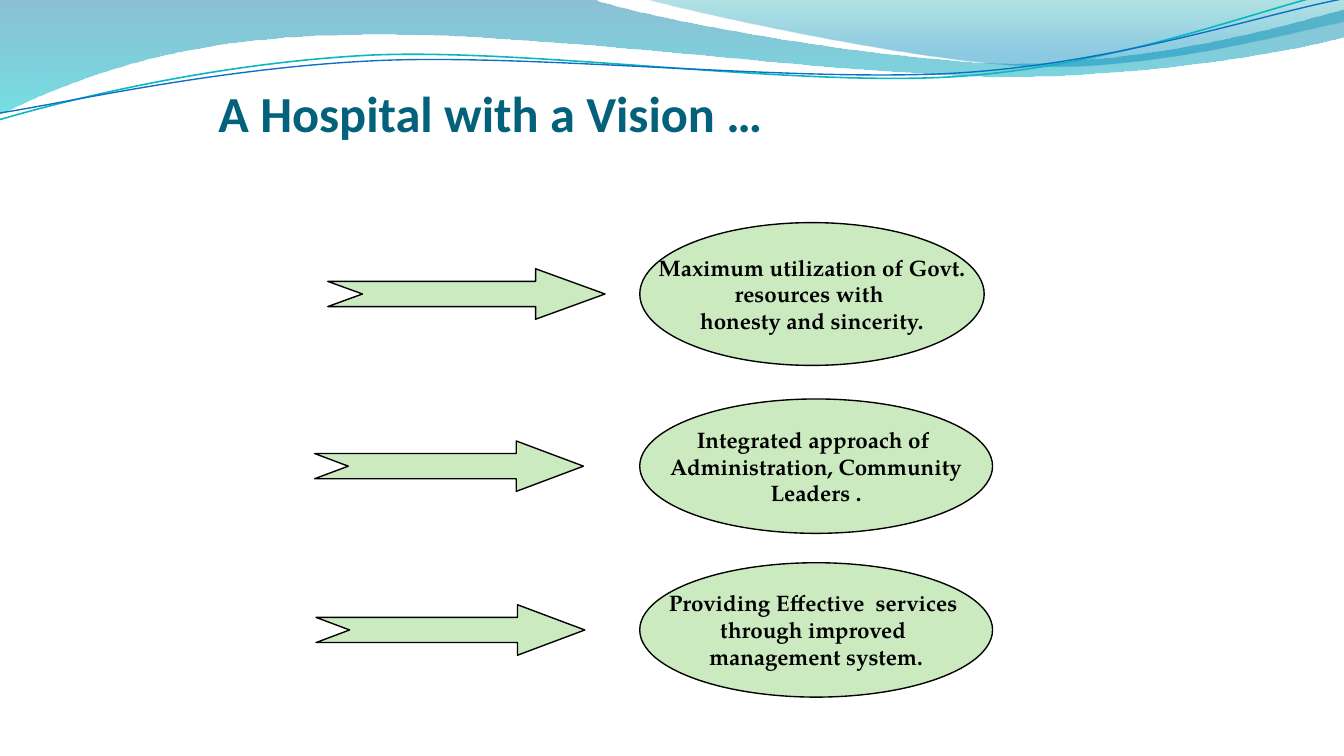
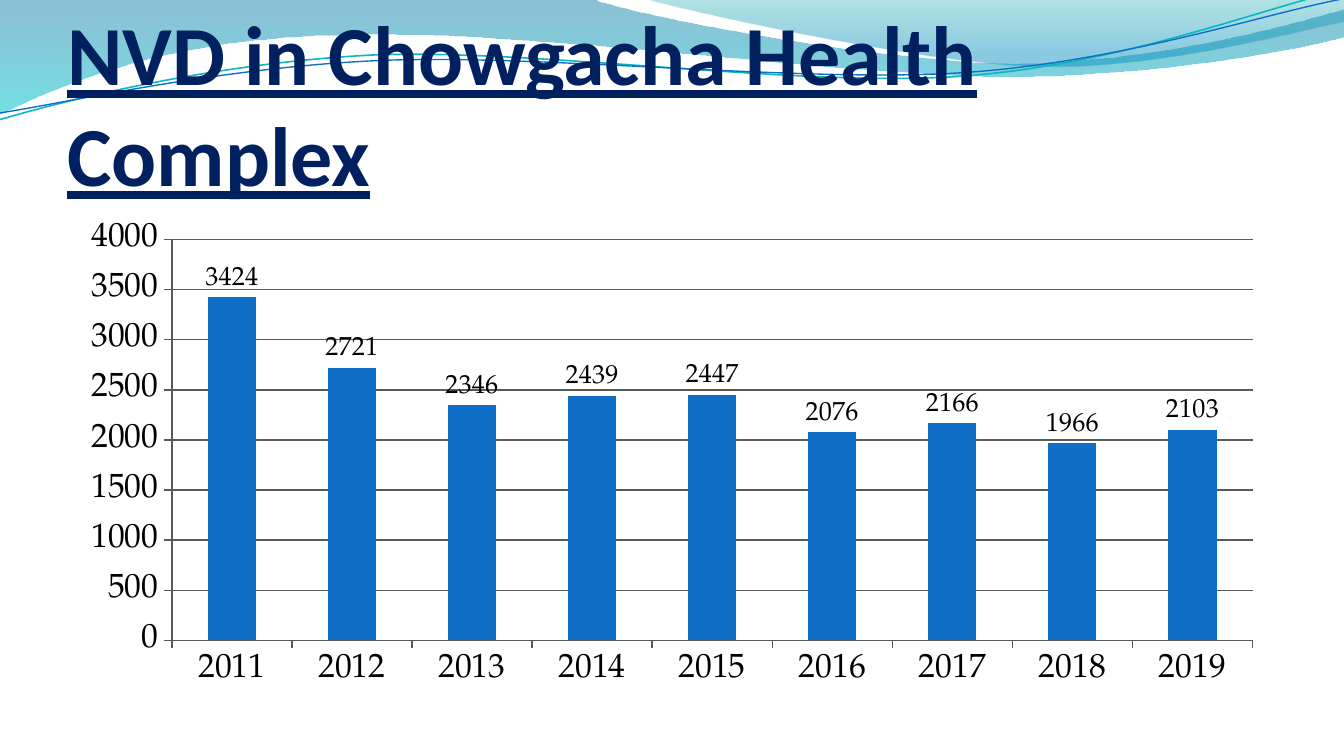
from lxml import etree
from pptx import Presentation
from pptx.chart import data as chart_data
from pptx.dml.color import RGBColor
from pptx.enum import chart as chart_enum, shapes, text
from pptx.oxml.ns import qn
from pptx.util import Pt

NAVY = RGBColor(0x00, 0x20, 0x60)
TEAL = RGBColor(0x04, 0x61, 0x7B)
BLUE = RGBColor(0x0F, 0x6F, 0xC6)
AQUA = RGBColor(0x0A, 0xB8, 0xBF)
GREEN = RGBColor(0xCB, 0xEA, 0xC0)
BLACK = RGBColor(0x00, 0x00, 0x00)
GRAY = RGBColor(0x59, 0x59, 0x59)
WAVE_DEEP = RGBColor(0x00, 0x74, 0xA1)
WAVE_BRIGHT = RGBColor(0x00, 0xC6, 0xCF)
CREST_GREEN = RGBColor(0x00, 0xA1, 0xA9)
CREST_BLUE = RGBColor(0x00, 0x8B, 0xBF)

TITLE_FONT = "Calibri"
BODY_FONT = "TeX Gyre Pagella"

INCH = 72

WAVES = [
    {"start": (0, 0),
     "segments": [(4.4, -0.01),
                  (4.76, 0.13, 6.64, 0.47, 7.58, 0.47),
                  (8.53, 0.47, 9.58, 0.19, 10, 0.07),
                  (10.01, 0.27),
                  (9.83, 0.33, 8.7, 0.57, 7.46, 0.57),
                  (6.22, 0.56, 3.82, 0.21, 2.57, 0.26),
                  (1.29, 0.27, 0.46, 0.62, -0.01, 0.85),
                  (0, 0)],
     "stops": [(0, WAVE_DEEP, 45), (1, WAVE_BRIGHT, 55)]},
    {"start": (4.79, -0.01),
     "segments": [(5.09, 0.08, 6.82, 0.46, 7.69, 0.49),
                  (8.56, 0.52, 9.61, 0.24, 10, 0.16),
                  (10, 0),
                  (4.79, -0.01)],
     "stops": [(0, CREST_GREEN, 30), (0.8, CREST_BLUE, 45)]},
    {"start": (0, 0.89),
     "segments": [(0.48, 0.75, 1.58, 0.47, 2.77, 0.41),
                  (3.96, 0.36, 5.92, 0.65, 7.12, 0.57),
                  (8.33, 0.49, 9.39, 0.06, 9.98, -0.07)],
     "line": (AQUA, 0.85)},
    {"start": (0, 0.84),
     "segments": [(0.47, 0.77, 1.64, 0.5, 2.83, 0.45),
                  (4.03, 0.4, 5.97, 0.62, 7.17, 0.54),
                  (8.36, 0.46, 9.41, 0.1, 10, -0.01)],
     "line": (BLUE, 0.75)},
]

VISION_TITLE = "A Hospital with a Vision …"
GOAL_LEFT = 342.75
ARROW_HEIGHT = 27
GOALS = [
    {"lines": ["Maximum utilization of Govt.", "resources with ", "honesty and sincerity."],
     "middle": 157.5, "size": (184.5, 76.5), "arrow": (175.6, 148.5)},
    {"lines": ["Providing Effective  services ", "through improved ", "management system."],
     "middle": 337.5, "size": (189, 72), "arrow": (169.3, 144)},
    {"lines": ["Integrated approach of ", "Administration, Community", "Leaders ."],
     "middle": 249.75, "size": (189, 72), "arrow": (168.6, 144)},
]

NVD_TITLE = "NVD in Chowgacha Health Complex"
NVD_BY_YEAR = {"2011": 3424, "2012": 2721, "2013": 2346, "2014": 2439, "2015": 2447,
               "2016": 2076, "2017": 2166, "2018": 1966, "2019": 2103}


def write(frame, lines, size, color, font, align, anchor, wrap=False, underline=None, insets=None):
    frame.word_wrap = wrap
    frame.vertical_anchor = anchor
    if insets:
        (frame.margin_left, frame.margin_top,
         frame.margin_right, frame.margin_bottom) = [Pt(inset) for inset in insets]
    for index, line in enumerate(lines):
        para = frame.paragraphs[0] if index == 0 else frame.add_paragraph()
        para.alignment = align
        span = para.add_run()
        span.text = line
        span.font.size = Pt(size)
        span.font.name = font
        span.font.bold = True
        span.font.underline = underline
        span.font.color.rgb = color


def to_points(numbers):
    lengths = [Pt(number * INCH) for number in numbers]
    return list(zip(lengths[::2], lengths[1::2]))


def add_curve(page, start, segments, closed):
    builder = page.shapes.build_freeform(*to_points(start)[0])
    builder.add_line_segments([to_points(segment)[-1] for segment in segments], close=closed)
    shape = builder.convert_to_shape()
    for node, segment in zip(list(shape.element.iter(qn("a:lnTo"))), segments):
        if len(segment) == 2:
            continue
        bend = etree.Element(qn("a:cubicBezTo"))
        for x, y in to_points(segment):
            point = etree.SubElement(bend, qn("a:pt"))
            point.set("x", str(x - shape.left))
            point.set("y", str(y - shape.top))
        node.getparent().replace(node, bend)
    return shape


def fill_gradient(shape, stops):
    shape.fill.gradient()
    shape.fill.gradient_angle = 270
    for stop, (position, color, _) in zip(shape.fill.gradient_stops, stops):
        stop.position = position
        stop.color.rgb = color
    for node, (_, _, opacity) in zip(shape.element.iter(qn("a:srgbClr")), stops):
        etree.SubElement(node, qn("a:alpha")).set("val", str(opacity * 1000))


def add_waves(page):
    for wave in WAVES:
        closed = "stops" in wave
        shape = add_curve(page, wave["start"], wave["segments"], closed)
        shape.shadow.inherit = False
        if closed:
            fill_gradient(shape, wave["stops"])
            shape.line.fill.background()
        else:
            color, width = wave["line"]
            shape.fill.background()
            shape.line.color.rgb = color
            shape.line.width = Pt(width)


def add_page(deck, title, place, size, color, underline=None):
    page = deck.slides.add_slide(deck.slide_layouts[6])
    add_waves(page)
    box = page.shapes.add_textbox(*[Pt(length) for length in place])
    write(box.text_frame, [title], size, color, TITLE_FONT, text.PP_ALIGN.LEFT,
          text.MSO_ANCHOR.BOTTOM, wrap=True, underline=underline, insets=(0, 3.6, 0, 0))
    return page


def add_green_shape(page, kind, left, middle, width, height):
    shape = page.shapes.add_shape(kind, Pt(left), Pt(middle - height / 2), Pt(width), Pt(height))
    shape.shadow.inherit = False
    shape.fill.solid()
    shape.fill.fore_color.rgb = GREEN
    shape.line.color.rgb = BLACK
    shape.line.width = Pt(0.75)
    return shape


def add_goals(page):
    for goal in GOALS:
        ellipse = add_green_shape(page, shapes.MSO_SHAPE.OVAL, GOAL_LEFT,
                                  goal["middle"], *goal["size"])
        write(ellipse.text_frame, goal["lines"], 12, BLACK, BODY_FONT,
              text.PP_ALIGN.CENTER, text.MSO_ANCHOR.MIDDLE)
        left, width = goal["arrow"]
        arrow = add_green_shape(page, shapes.MSO_SHAPE.NOTCHED_RIGHT_ARROW, left,
                                goal["middle"], width, ARROW_HEIGHT)
        arrow.adjustments[0] = 0.5
        arrow.adjustments[1] = width / ARROW_HEIGHT / 4


def add_nvd_chart(page):
    table = chart_data.CategoryChartData()
    table.categories = list(NVD_BY_YEAR)
    table.add_series("Series 1", list(NVD_BY_YEAR.values()))
    chart = page.shapes.add_chart(chart_enum.XL_CHART_TYPE.COLUMN_CLUSTERED,
                                  Pt(36), Pt(114.2), Pt(648), Pt(259.2), table).chart
    chart.has_legend = False
    chart.has_title = False
    chart.font.size = Pt(18)
    chart.font.name = BODY_FONT
    chart.font.color.rgb = BLACK

    for axis in (chart.category_axis, chart.value_axis):
        axis.major_tick_mark = chart_enum.XL_TICK_MARK.OUTSIDE
        axis.minor_tick_mark = chart_enum.XL_TICK_MARK.NONE
        axis.format.line.color.rgb = GRAY
        axis.format.line.width = Pt(0.75)
    values = chart.value_axis
    values.minimum_scale, values.maximum_scale, values.major_unit = 0, 4000, 500
    values.has_major_gridlines = True
    values.major_gridlines.format.line.color.rgb = GRAY
    values.major_gridlines.format.line.width = Pt(0.75)

    plot = chart.plots[0]
    plot.gap_width = 150
    plot.vary_by_categories = False
    series = plot.series[0]
    series.format.fill.solid()
    series.format.fill.fore_color.rgb = BLUE
    labels = series.data_labels
    labels.show_value = True
    labels.position = chart_enum.XL_LABEL_POSITION.OUTSIDE_END
    labels.font.size = Pt(14)
    labels.font.name = BODY_FONT
    labels.font.color.rgb = BLACK


def main():
    deck = Presentation()
    deck.slide_width, deck.slide_height = Pt(720), Pt(405)
    add_goals(add_page(deck, VISION_TITLE, (117, 16.5, 486, 60), 27, TEAL))
    add_nvd_chart(add_page(deck, NVD_TITLE, (36, 41.5, 648, 67.5), 45, NAVY, underline=True))
    deck.save("out.pptx")


if __name__ == "__main__":
    main()
